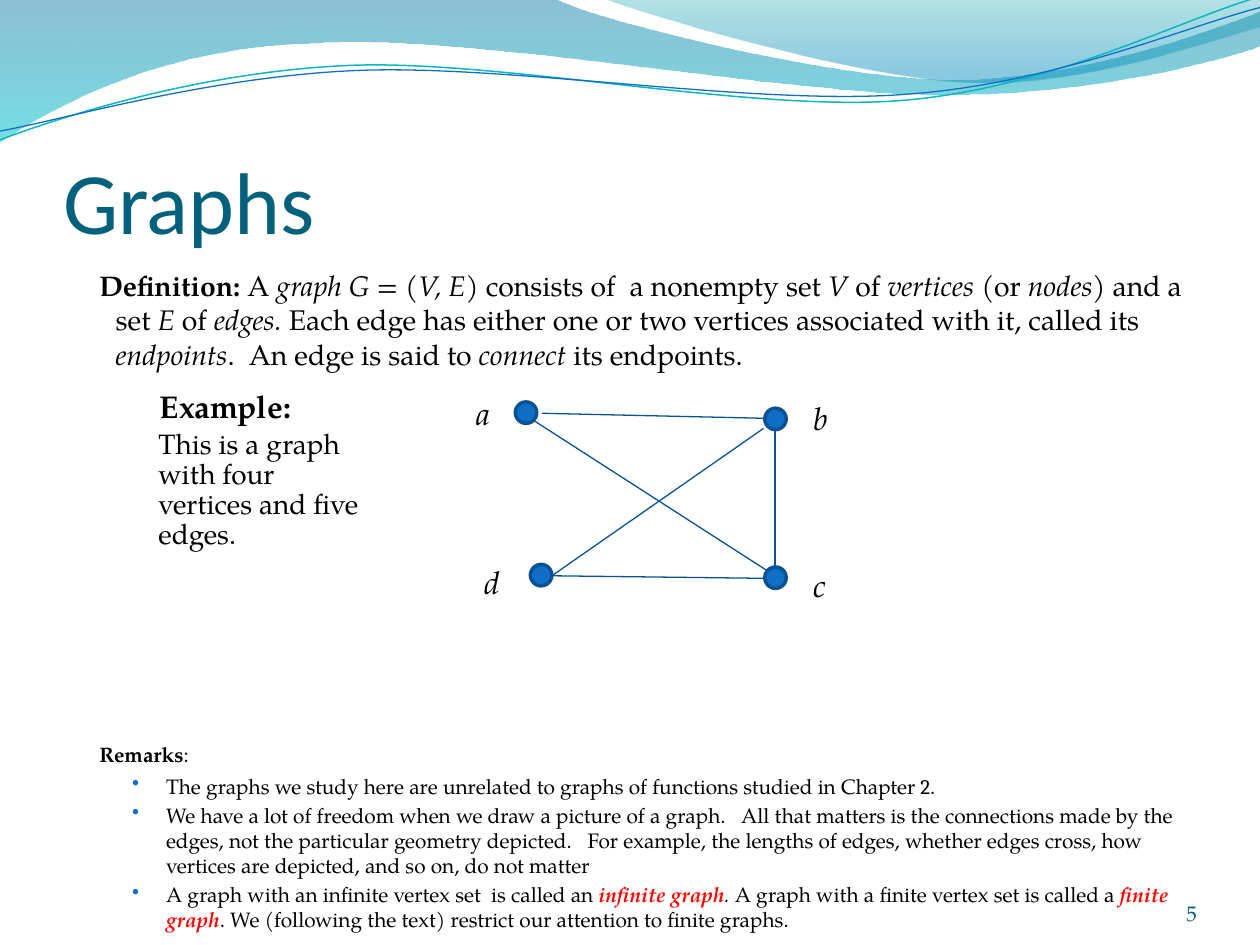
from pptx import Presentation
from pptx.util import Inches, Pt
from pptx.dml.color import RGBColor as RGB
from pptx.enum.shapes import MSO_SHAPE as Geo, MSO_CONNECTOR as Link
from pptx.enum.text import MSO_ANCHOR as Anchor, PP_ALIGN as Align
from pptx.oxml.ns import qn
from lxml.etree import SubElement as Sub

HUES = {"title": "04617B", "text": "000000", "key": "FF0000", "page": "045D75",
        "dot": "0F6FC6", "rim": "0B5292", "edge": "095295"}
FONT = "TeX Gyre Pagella"

deck = Presentation()
deck.slide_width, deck.slide_height = Inches(10), Inches(7.5)
slide = deck.slides.add_slide(deck.slide_layouts[5])
shapes = slide.shapes


def wave(start, parts, close):
    """Outline of lines (2 numbers) and Bezier curves (6 numbers) in inches."""
    pts = [part[n:n + 2] for part in parts for n in range(0, len(part), 2)]
    pen = shapes.build_freeform(Inches(start[0]), Inches(start[1]), scale=1.0)
    pen.add_line_segments([(Inches(x), Inches(y)) for x, y in pts], close=close)
    form = pen.convert_to_shape()
    form.shadow.inherit = False
    # Join each three line steps of a curve into one Bezier step
    steps = iter(list(form.element.spPr.iter(qn("a:lnTo"))))
    for part in parts:
        step = next(steps)
        if len(part) == 6:
            step.tag = qn("a:cubicBezTo")
            for _ in range(2):
                more = next(steps)
                step.append(more[0])
                more.getparent().remove(more)
    return form


def write(box, paras, size, hue="text", **form):
    """Add a text box; each paragraph is a list of (text, style) runs."""
    area = shapes.add_textbox(*map(Inches, box))
    frame = area.text_frame
    frame.word_wrap = True
    for n, runs in enumerate(paras):
        para = frame.paragraphs[0] if n == 0 else frame.add_paragraph()
        for key, val in form.items():
            setattr(para, key, val)
        for text, style in runs:
            run = para.add_run()
            run.text = text
            look = {"name": "Cambria" if "m" in style else FONT, "size": Pt(size),
                    "bold": "b" in style, "italic": "i" in style}
            for key, val in look.items():
                setattr(run.font, key, val)
            run.font.color.rgb = RGB.from_string(HUES["key" if "k" in style else hue])
    return frame


# Banner waves: start, parts, gradient stops (position, colour, opacity)
fills = [
    ((0, 0), [(4.4, -0.01), (4.76, 0.17, 6.64, 0.63, 7.58, 0.63),
              (8.53, 0.63, 9.58, 0.26, 10, 0.09), (10.01, 0.36),
              (9.83, 0.44, 8.7, 0.76, 7.46, 0.75), (6.22, 0.75, 3.82, 0.28, 2.57, 0.34),
              (1.29, 0.36, 0.46, 0.83, -0.01, 1.13), (0, 0)],
     [(0, "0074A1", 45), (1, "00C6CF", 55)]),
    ((4.79, -0.01), [(5.09, 0.11, 6.82, 0.62, 7.69, 0.65),
                     (8.56, 0.69, 9.61, 0.32, 10, 0.21), (10, 0), (4.79, -0.01)],
     [(0, "00A1A9", 30), (0.8, "008BBF", 45)]),
]
for start, parts, stops in fills:
    form = wave(start, parts, True)
    form.line.fill.background()
    form.fill.gradient()
    form.fill.gradient_angle = 270
    for stop, (pos, hue, _) in zip(form.fill.gradient_stops, stops):
        stop.position = pos
        stop.color.rgb = RGB.from_string(hue)
    for clr, (_, _, dim) in zip(form.element.spPr.iter(qn("a:srgbClr")), stops):
        Sub(clr, qn("a:alpha")).set("val", str(dim * 1000))

# Banner lines
lines = [
    ((0, 1.11), [(0.48, 0.93, 1.58, 0.57, 2.77, 0.52), (3.95, 0.47, 5.93, 0.89, 7.13, 0.8),
                 (8.33, 0.71, 9.38, 0.15, 9.98, -0.02)], "0AB8BF", 0.85),
    ((0, 1.04), [(0.47, 0.96, 1.64, 0.61, 2.83, 0.56), (4.03, 0.51, 5.97, 0.84, 7.17, 0.75),
                 (8.36, 0.67, 9.41, 0.21, 10, 0.06)], "0F6FC6", 0.75),
]
for start, parts, hue, width in lines:
    form = wave(start, parts, False)
    form.fill.background()
    form.line.color.rgb = RGB.from_string(hue)
    form.line.width = Pt(width)

# Title
title = shapes.title
place = {"left": 0.5, "top": 0.75, "width": 9, "height": 1.25}
for key, val in place.items():
    setattr(title, key, Inches(val))
frame = title.text_frame
frame.text = "Graphs"
inset = {"margin_left": 0, "margin_right": 0, "margin_top": Inches(0.05),
         "margin_bottom": 0, "vertical_anchor": Anchor.BOTTOM}
for key, val in inset.items():
    setattr(frame, key, val)
frame.paragraphs[0].alignment = Align.LEFT
font = frame.paragraphs[0].runs[0].font
font.name, font.size = "Calibri", Pt(50)
font.color.rgb = RGB.from_string(HUES["title"])

# Definition, with a hanging first line
body = write((0.52, 2.08, 9, 0.95), [[
    ("Definition:", "b"), (" A ", ""), ("graph G = ", "i"), ("(", ""), ("V, E", "i"),
    (") consists of  a nonempty set ", ""), ("V", "i"), (" of ", ""), ("vertices ", "i"),
    ("(or ", ""), ("nodes", "i"), (") and a set ", ""), ("E", "i"), (" of ", ""),
    ("edges. ", "i"),
    ("Each edge has either one or two vertices associated with it, called its ", ""),
    ("endpoints", "i"), (".  An edge is said to ", ""), ("connect", "i"),
    (" its endpoints.", "")]], 16.2, line_spacing=Pt(19.5))
ppr = body.paragraphs[0]._p.get_or_add_pPr()
ppr.set("marL", str(Inches(0.3)))
ppr.set("indent", str(Inches(-0.13)))

# Example
write((1.17, 3.02, 1.38, 0.4), [[("Example:", "b")]], 18)
write((1.16, 3.37, 1.83, 1.05),
      [[("This is a graph with four vertices and five edges.", "")]], 16, line_spacing=Pt(17))

# Graph: edges, then vertices with their labels
edges = [(4.24, 3.34, 6.09, 4.53), (4.38, 4.57, 6.06, 3.4), (4.3, 3.28, 6.06, 3.32),
         (6.15, 3.4, 6.15, 4.5), (4.38, 4.57, 6.06, 4.59)]
for ends in edges:
    edge = shapes.add_connector(Link.STRAIGHT, *map(Inches, ends))
    edge.line.color.rgb = RGB.from_string(HUES["edge"])
    edge.line.width = Pt(0.75)
    Sub(edge.element.spPr, qn("a:effectLst"))

nodes = {"a": (4.09, 3.19, 3.68, 3.08), "b": (6.07, 3.24, 6.36, 3.12),
         "c": (6.07, 4.5, 6.36, 4.44), "d": (4.21, 4.48, 3.75, 4.42)}
for name, (x, y, left, top) in nodes.items():
    dot = shapes.add_shape(Geo.OVAL, *map(Inches, (x, y, 0.17, 0.17)))
    dot.shadow.inherit = False
    dot.fill.solid()
    dot.fill.fore_color.rgb = RGB.from_string(HUES["dot"])
    dot.line.color.rgb = RGB.from_string(HUES["rim"])
    dot.line.width = Pt(2)
    write((left, top, 0.35, 0.4), [[(name, "i")]], 18)

# Remarks, bulleted after the heading
notes = write((0.52, 5.84, 9, 1.6), [
    [("Remarks", "b"), (": ", "")],
    [("The graphs we study here are unrelated to graphs of functions studied in Chapter ", ""),
     ("2", "m"), (". ", "")],
    [("We have a lot of freedom when we draw a picture of a graph.   All that matters is the "
      "connections made by the edges, not the particular geometry depicted.   For example, the "
      "lengths of edges, whether edges cross, how vertices are depicted, and so on, do not "
      "matter", "")],
    [("A graph with an infinite vertex set  is called an ", ""), ("infinite graph", "bik"),
     (". ", "i"), ("A graph with a finite vertex set is called a ", ""),
     ("finite graph", "bik"),
     (". We (following the text) restrict our attention to finite graphs.", "")],
], 11.9, line_spacing=Pt(14.3), space_before=Pt(2.4))
notes.paragraphs[1].space_before = Pt(3.6)
for n, para in enumerate(notes.paragraphs):
    ppr = para._p.get_or_add_pPr()
    ppr.set("marL", str(Inches(0.7 if n else 0.17)))
    ppr.set("indent", str(Inches(-0.27 if n else 0)))
    if n:
        Sub(Sub(ppr, qn("a:buClr")), qn("a:srgbClr")).set("val", HUES["dot"])
        Sub(ppr, qn("a:buSzPct")).set("val", "100000")
        Sub(ppr, qn("a:buChar")).set("char", "•")

# Page number
page = write((8.67, 6.95, 0.83, 0.4), [[("5", "")]], 12, "page", alignment=Align.RIGHT)
for key in ("left", "right", "top", "bottom"):
    setattr(page, "margin_" + key, 0)
page.vertical_anchor = Anchor.BOTTOM

deck.save("out.pptx")
